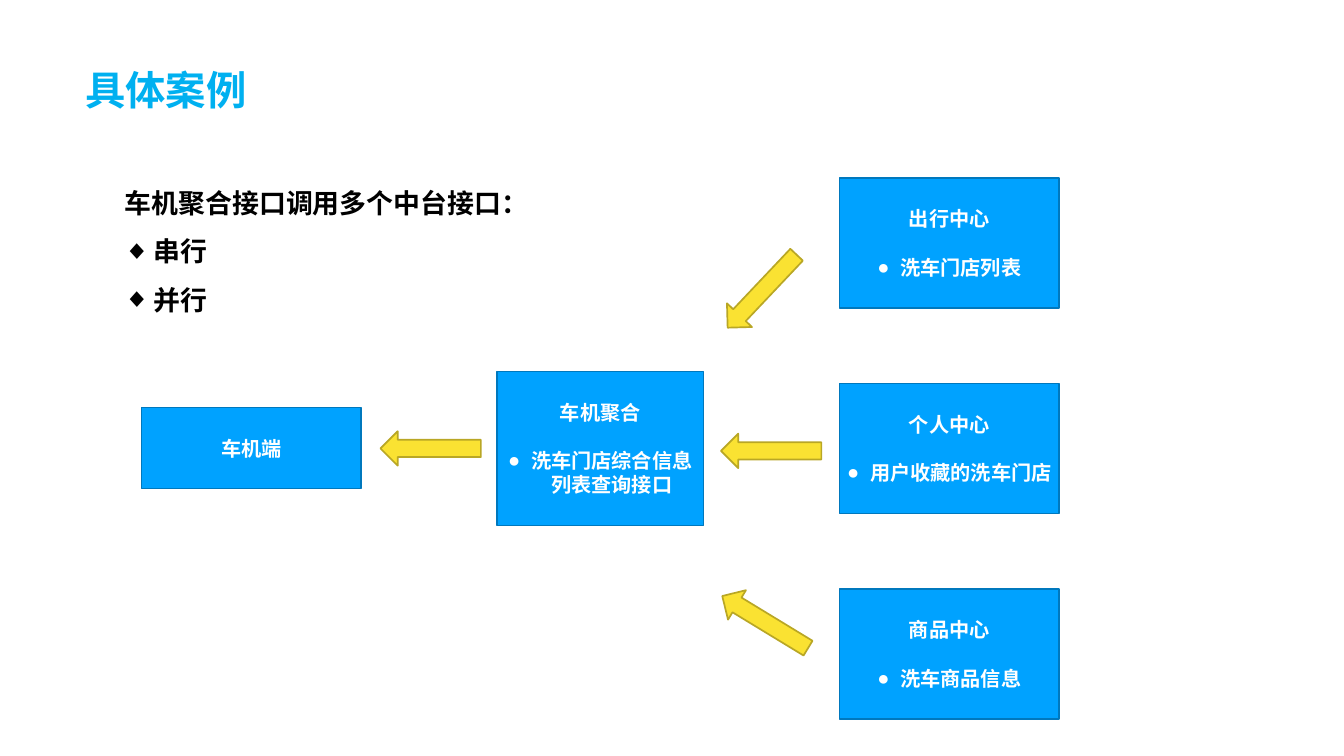
from dataclasses import dataclass

from lxml import etree
from pptx import Presentation
from pptx import util as u
from pptx.dml.color import RGBColor
from pptx.enum import shapes, text
from pptx.oxml.ns import qn


@dataclass
class Theme:
    font: str = "Arial"
    title: str = "00B0F0"
    ink: str = "000000"
    light: str = "FFFFFF"
    box: str = "00A2FF"
    edge: str = "0078BD"
    arrow: str = "FAE232"
    rim: str = "B9A725"
    head: int = 48
    body: int = 32
    label: int = 24
    gap: int = 29
    inset: float = 0.07
    line: int = 2


class Deck:
    def __init__(self, theme):
        self.theme = theme
        self.file = Presentation()
        self.file.slide_width = u.Inches(22.22)
        self.file.slide_height = u.Inches(12.5)
        self.slide = self.file.slides.add_slide(self.file.slide_layouts[1])

    def place(self, item, left, top, width, height):
        item.left, item.top = u.Inches(left), u.Inches(top)
        item.width, item.height = u.Inches(width), u.Inches(height)

    def frame(self, item, wrap):
        frame = item.text_frame
        frame.auto_size = text.MSO_AUTO_SIZE.NONE
        frame.word_wrap = wrap
        frame.vertical_anchor = text.MSO_ANCHOR.MIDDLE
        inset = u.Inches(self.theme.inset)
        frame.margin_left = frame.margin_right = inset
        frame.margin_top = frame.margin_bottom = inset
        return frame

    def words(self, para, words, size, color, center=True, mark=None, indent=0):
        para.alignment = text.PP_ALIGN.CENTER if center else text.PP_ALIGN.LEFT
        para.space_before = u.Pt(0)
        props = para._p.get_or_add_pPr()
        props.set("marL", str(u.Inches(indent)))
        props.set("indent", str(-u.Inches(indent)))
        if mark:
            etree.SubElement(props, qn("a:buFont")).set("typeface", self.theme.font)
            etree.SubElement(props, qn("a:buChar")).set("char", mark)
        else:
            etree.SubElement(props, qn("a:buNone"))
        run = para.add_run()
        run.text = words
        font = run.font
        font.name, font.size, font.bold = self.theme.font, u.Pt(size), True
        font.color.rgb = RGBColor.from_string(color)
        etree.SubElement(run._r.rPr, qn("a:ea")).set("typeface", self.theme.font)

    def title(self, words, *area):
        item = self.slide.shapes.title
        self.place(item, *area)
        para = self.frame(item, False).paragraphs[0]
        self.words(para, words, self.theme.head, self.theme.title)

    def list(self, lead, points, *area):
        item = self.slide.placeholders[1]
        self.place(item, *area)
        frame = self.frame(item, False)
        style = self.theme.body, self.theme.ink
        self.words(frame.paragraphs[0], lead, *style)
        for point in points:
            self.words(frame.add_paragraph(), point, *style, False, "◆", 0.5)
        for para in frame.paragraphs:
            para.line_spacing = 1.5

    def shape(self, kind, fill, line, *area):
        item = self.slide.shapes.add_shape(kind, *map(u.Inches, area))
        item.shadow.inherit = False
        item.fill.solid()
        item.fill.fore_color.rgb = RGBColor.from_string(fill)
        item.line.color.rgb = RGBColor.from_string(line)
        item.line.width = u.Pt(self.theme.line)
        return item

    def box(self, name, note, *area):
        theme = self.theme
        item = self.shape(shapes.MSO_SHAPE.RECTANGLE, theme.box, theme.edge, *area)
        frame = self.frame(item, True)
        style = theme.label, theme.light
        self.words(frame.paragraphs[0], name, *style)
        if note:
            para = frame.add_paragraph()
            self.words(para, note, *style, mark="●", indent=0.38)
            para.space_before = u.Pt(theme.gap)

    def arrow(self, left, top, turn):
        theme = self.theme
        kind = shapes.MSO_SHAPE.RIGHT_ARROW
        item = self.shape(kind, theme.arrow, theme.rim, left, top, 1.66, 0.57)
        item.rotation = turn


def main():
    deck = Deck(Theme())
    deck.title("具体案例", 1.33, 1.01, 2.82, 0.94)
    deck.list("车机聚合接口调用多个中台接口：", ["串行", "并行"], 1.97, 2.74, 6.86, 2.55)

    deck.box("车机端", None, 2.34, 6.74, 3.63, 1.34)
    deck.box("车机聚合", "洗车门店综合信息列表查询接口", 8.22, 6.14, 3.41, 2.55)
    centers = [
        ("出行中心", "洗车门店列表"),
        ("个人中心", "用户收藏的洗车门店"),
        ("商品中心", "洗车商品信息"),
    ]
    for row, (name, note) in enumerate(centers):
        deck.box(name, note, 13.88, 2.94 + 3.4 * row, 3.63, 2.15)

    for left, top, turn in [
        (11.77, 4.53, 133.4),
        (11.92, 7.17, 180),
        (11.82, 10, 211.3),
        (6.29, 7.13, 180),
    ]:
        deck.arrow(left, top, turn)

    deck.file.save("out.pptx")


if __name__ == "__main__":
    main()
